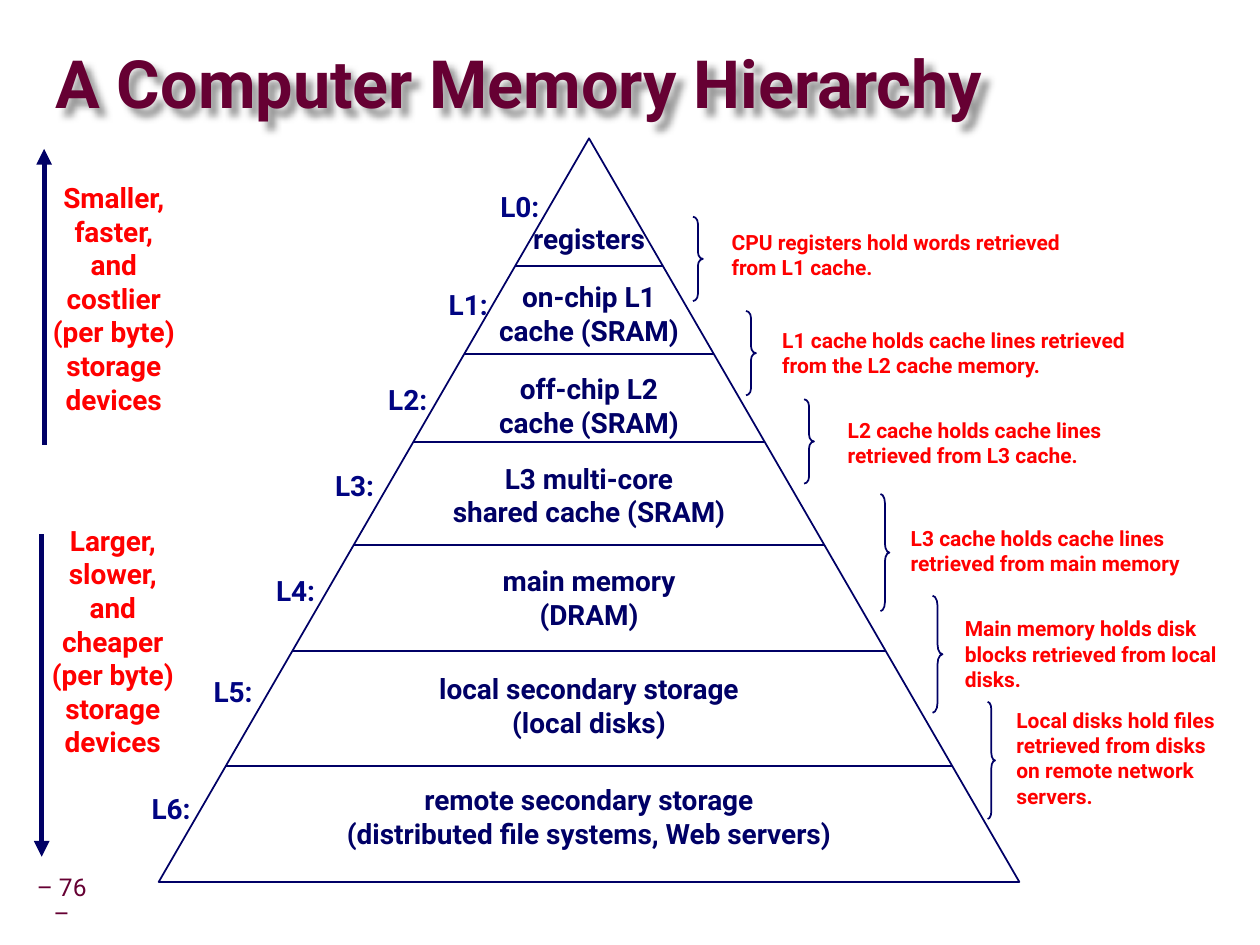
from lxml import etree
from pptx import Presentation
from pptx.dml.color import RGBColor
from pptx.enum.shapes import MSO_CONNECTOR as Link, MSO_SHAPE as Shape
from pptx.enum.text import MSO_ANCHOR as Anchor, PP_ALIGN as Align
from pptx.oxml import parse_xml
from pptx.oxml.ns import nsdecls, qn
from pptx.util import Cm, Pt

NAVY, BLUE, RED, WINE = "000066", "000482", "FF0000", "660033"

# name, name x, name y, text, text width, text y, floor (cm from pyramid corner)
LEVELS = [
    ("L0:", 7.28, 1.36, "registers", 2.9, 2.02, 2.57),
    ("L1:", 6.24, 3.34, "on-chip L1\ncache (SRAM)", 4.32, 3.53, 4.34),
    ("L2:", 5.02, 5.27, "off-chip L2\ncache (SRAM)", 4.32, 5.38, 6.12),
    ("L3:", 3.95, 7.0, "L3 multi-core\nshared cache (SRAM)", 6.38, 7.19, 8.2),
    ("L4:", 2.76, 9.11, "main memory\n(DRAM)", 4.19, 9.25, 10.34),
    ("L5:", 1.5, 11.14, "local secondary storage\n(local disks)", 6.98, 11.43, 12.65),
    ("L6:", 0.25, 13.5,
     "remote secondary storage\n(distributed file systems, Web servers)", 10.87, 13.67, None),
]

# brace box, then note left, middle, width, rows and text
NOTES = [
    ((13.97, 4.37, 0.2, 1.7), 14.5, 5.13, 8.1, 2,
     "CPU registers hold words retrieved from L1 cache."),
    ((15.04, 6.27, 0.2, 1.7), 15.52, 7.11, 7.87, 2,
     "L1 cache holds cache lines retrieved from the L2 cache memory."),
    ((16.21, 8.05, 0.2, 1.7), 16.84, 8.92, 7.29, 2,
     "L2 cache holds cache lines retrieved from L3 cache."),
    ((17.75, 9.96, 0.18, 2.36), 18.11, 11.1, 6.86, 2,
     "L3 cache holds cache lines retrieved from main memory"),
    ((18.8, 12.01, 0.2, 2.36), 19.2, 13.18, 7.7, 3,
     "Main memory holds disk\nblocks retrieved from local\ndisks."),
    ((19.91, 14.15, 0.15, 2.36), 20.24, 15.28, 4.75, 4,
     "Local disks hold files retrieved from disks on remote network servers."),
]


def color(code):
    return RGBColor.from_string(code)


def write(frame, text, size=16, ink=NAVY, bold=True, align=Align.CENTER,
          wrap=False, pitch=None, inset=None):
    frame.word_wrap = wrap
    frame.vertical_anchor = Anchor.MIDDLE
    if inset is not None:
        frame.margin_left = frame.margin_right = Cm(inset)
        frame.margin_top = frame.margin_bottom = Cm(inset)
    frame.text = text
    for para in frame.paragraphs:
        para.alignment = align
        para.line_spacing = pitch
        font = para.runs[0].font
        font.name, font.size, font.bold = "Roboto", Pt(size), bold
        font.color.rgb = color(ink)


def add_text(slide, left, mid, width, text, rows=None, size=16, **form):
    """Add a text box centred on the height mid, as tall as its rows."""
    rows = rows or text.count("\n") + 1
    high = 0.26 + rows * size * 0.0425
    box = slide.shapes.add_textbox(Cm(left), Cm(mid - high / 2), Cm(width), Cm(high))
    write(box.text_frame, text, size=size, **form)


def add_line(slide, x1, y1, x2, y2, width=1, arrow=False):
    line = slide.shapes.add_connector(Link.STRAIGHT, Cm(x1), Cm(y1), Cm(x2), Cm(y2))
    line.line.color.rgb = color(NAVY)
    line.line.width = Pt(width)
    if arrow:
        etree.SubElement(line.line._get_or_add_ln(), qn("a:tailEnd"), type="triangle")
    etree.SubElement(line._element.spPr, qn("a:effectLst"))


def add_outline(slide, kind, left, top, width, high):
    shape = slide.shapes.add_shape(kind, Cm(left), Cm(top), Cm(width), Cm(high))
    shape.shadow.inherit = False
    shape.fill.background()
    shape.line.color.rgb = color(NAVY)
    shape.line.width = Pt(1)
    return shape


def add_title(slide, left, top, width, high):
    title = slide.shapes.title
    title.left, title.top, title.width, title.height = map(Cm, (left, top, width, high))
    write(title.text_frame, "A Computer Memory Hierarchy", size=38, ink=WINE,
          align=Align.LEFT, wrap=True, pitch=0.87, inset=0)
    title._element.spPr.append(parse_xml(
        f'<a:effectLst {nsdecls("a")}>'
        '<a:outerShdw blurRad="50800" dist="70000" dir="2700000" algn="tl">'
        '<a:srgbClr val="000000"><a:alpha val="40000"/></a:srgbClr>'
        '</a:outerShdw></a:effectLst>'))


def add_pyramid(slide, left, top, width, high):
    add_outline(slide, Shape.ISOSCELES_TRIANGLE, left, top, width, high)
    mid = left + width / 2
    for name, name_x, name_y, text, wide, text_y, floor in LEVELS:
        add_text(slide, mid - wide / 2, top + text_y, wide, text)
        add_text(slide, left + name_x - 0.68, top + name_y, 1.36, name, ink=BLUE)
        if floor:
            half = width / 2 * floor / high
            add_line(slide, mid - half, top + floor, mid + half, top + floor)


def add_note(slide, brace, left, mid, width, rows, text):
    shape = add_outline(slide, Shape.RIGHT_BRACE, *brace)
    shape.adjustments[0] = 0.7 if brace[3] < 2 else 1
    add_text(slide, left, mid, width, text, rows=rows, size=12, ink=RED,
             align=Align.LEFT, wrap=True)


def add_trend(slide, x, start, end, left, mid, words):
    """Add a vertical arrow with a column of words beside it."""
    add_line(slide, x, start, x, end, width=3, arrow=True)
    text = "\n".join([*words, "(per byte)", "storage", "devices"])
    add_text(slide, left, mid, 3.07, text, ink=RED)


def add_number(slide, left, top, width, high):
    box = slide.shapes.add_textbox(Cm(left), Cm(top), Cm(width), Cm(high))
    write(box.text_frame, "– 76 –", size=14, ink=WINE, bold=False,
          wrap=True, pitch=0.9, inset=0.13)


def main():
    deck = Presentation()
    deck.slide_width, deck.slide_height = Cm(25.4), Cm(19.05)
    slide = deck.slides.add_slide(deck.slide_layouts[5])
    add_title(slide, 1.12, 0.69, 24.21, 2.16)
    add_pyramid(slide, 3.2, 2.79, 17.35, 14.99)
    for note in NOTES:
        add_note(slide, *note)
    add_trend(slide, 0.89, 8.97, 3, 0.76, 6.01, ["Smaller,", "faster,", "and", "costlier"])
    add_trend(slide, 0.84, 10.77, 17.27, 0.74, 12.92, ["Larger,", "slower,", "and", "cheaper"])
    add_number(slide, 0.61, 17.78, 1.27, 0.79)
    deck.save("out.pptx")


if __name__ == "__main__":
    main()
